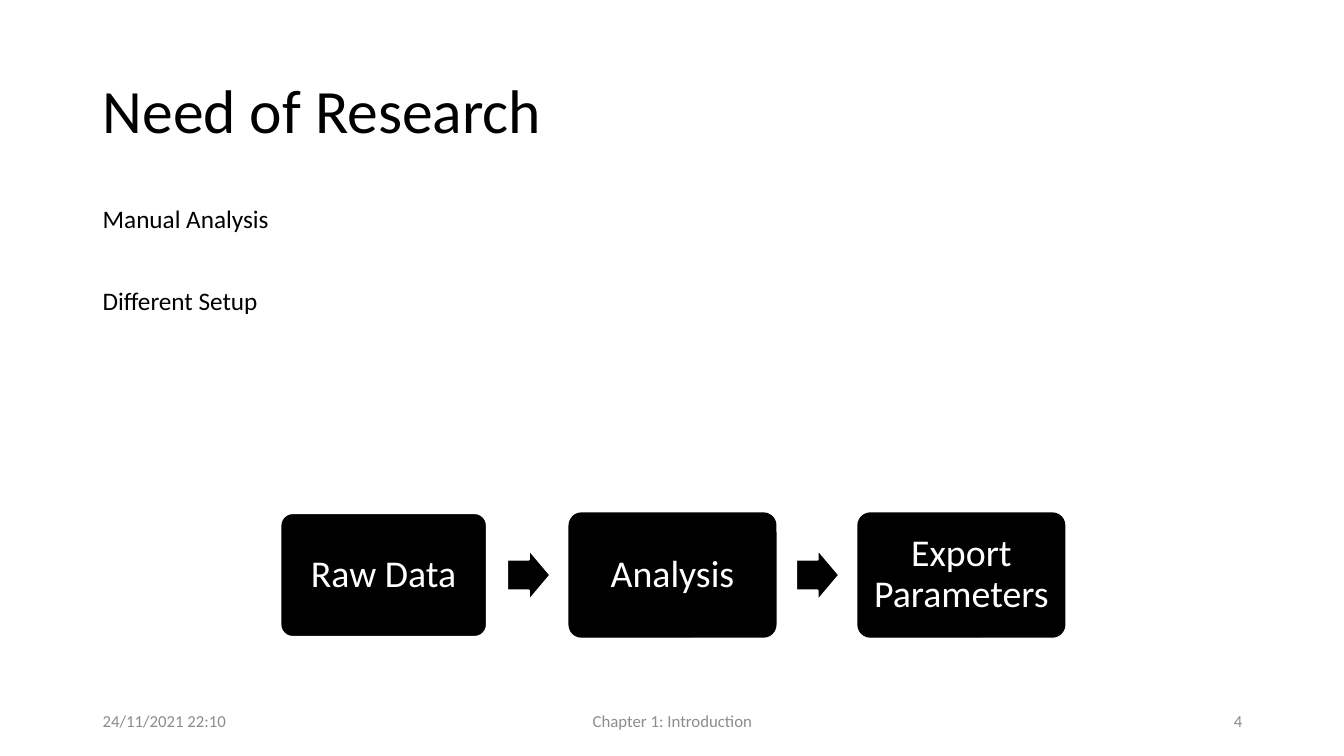
from pptx import Presentation
from pptx.dml.color import RGBColor
from pptx.enum.shapes import MSO_SHAPE as Shape
from pptx.enum.text import MSO_ANCHOR as Anchor, PP_ALIGN as Align
from pptx.util import Inches, Pt

BLACK = RGBColor(0x00, 0x00, 0x00)
WHITE = RGBColor(0xFF, 0xFF, 0xFF)
GRAY = RGBColor(0x8C, 0x8C, 0x8C)

TITLE = "Need of Research"
POINTS = ["Manual Analysis", "Different Setup"]
STEPS = [("Raw Data", WHITE, 1.5), ("Analysis", BLACK, 1), ("Export Parameters", BLACK, 1)]
FOOTER = [
    ("24/11/2021 22:10", 0.92, 3, Align.LEFT),
    ("Chapter 1: Introduction", 4.42, 4.5, Align.CENTER),
    ("4", 9.42, 3, Align.RIGHT),
]

STEP_LEFT, STEP_TOP, STEP_WIDTH, STEP_HEIGHT = 2.78, 5.09, 2.05, 1.23
STEP_PITCH = 2.865
ARROW_OFFSET, ARROW_WIDTH, ARROW_HEIGHT = 2.25, 0.43, 0.51

deck = Presentation()
deck.slide_width, deck.slide_height = Inches(13.33), Inches(7.5)
page = deck.slides.add_slide(deck.slide_layouts[6])


def write(frame, lines, size, color=BLACK, align=Align.LEFT, anchor=Anchor.MIDDLE, spacing=0.9, gap=0):
    frame.word_wrap = True
    frame.vertical_anchor = anchor
    for index, line in enumerate(lines):
        para = frame.add_paragraph() if index else frame.paragraphs[0]
        para.alignment = align
        para.line_spacing = spacing
        if index:
            para.space_before = Pt(gap)
        span = para.add_run()
        span.text = line
        span.font.name = "Calibri"
        span.font.size = Pt(size)
        span.font.color.rgb = color


def add_text(lines, left, top, width, height, **style):
    box = page.shapes.add_textbox(Inches(left), Inches(top), Inches(width), Inches(height))
    write(box.text_frame, lines, **style)


def add_block(kind, left, top, width, height, adjustments, line_color, line_width):
    block = page.shapes.add_shape(kind, Inches(left), Inches(top), Inches(width), Inches(height))
    block.shadow.inherit = False
    for index, value in enumerate(adjustments):
        block.adjustments[index] = value
    block.fill.solid()
    block.fill.fore_color.rgb = BLACK
    block.line.color.rgb = line_color
    block.line.width = Pt(line_width)
    return block


add_text([TITLE], 0.92, 0.4, 11.5, 1.45, size=44)
add_text(POINTS, 0.92, 2, 11.5, 2.05, size=18, anchor=Anchor.TOP, gap=39)
for label, left, width, align in FOOTER:
    add_text([label], left, 6.95, width, 0.4, size=12, color=GRAY, align=align, spacing=1)

for index, (label, line_color, line_width) in enumerate(STEPS):
    left = STEP_LEFT + index * STEP_PITCH
    step = add_block(Shape.ROUNDED_RECTANGLE, left, STEP_TOP, STEP_WIDTH, STEP_HEIGHT,
                     [0.1], line_color, line_width)
    frame = step.text_frame
    frame.margin_left = frame.margin_right = Inches(0.12)
    frame.margin_top = frame.margin_bottom = Inches(0.12)
    write(frame, [label], size=27, color=WHITE, align=Align.CENTER)
    if index < len(STEPS) - 1:
        arrow_top = STEP_TOP + (STEP_HEIGHT - ARROW_HEIGHT) / 2
        add_block(Shape.RIGHT_ARROW, left + ARROW_OFFSET, arrow_top, ARROW_WIDTH, ARROW_HEIGHT,
                  [0.6, 0.5], WHITE, 1.5)

deck.save("out.pptx")
